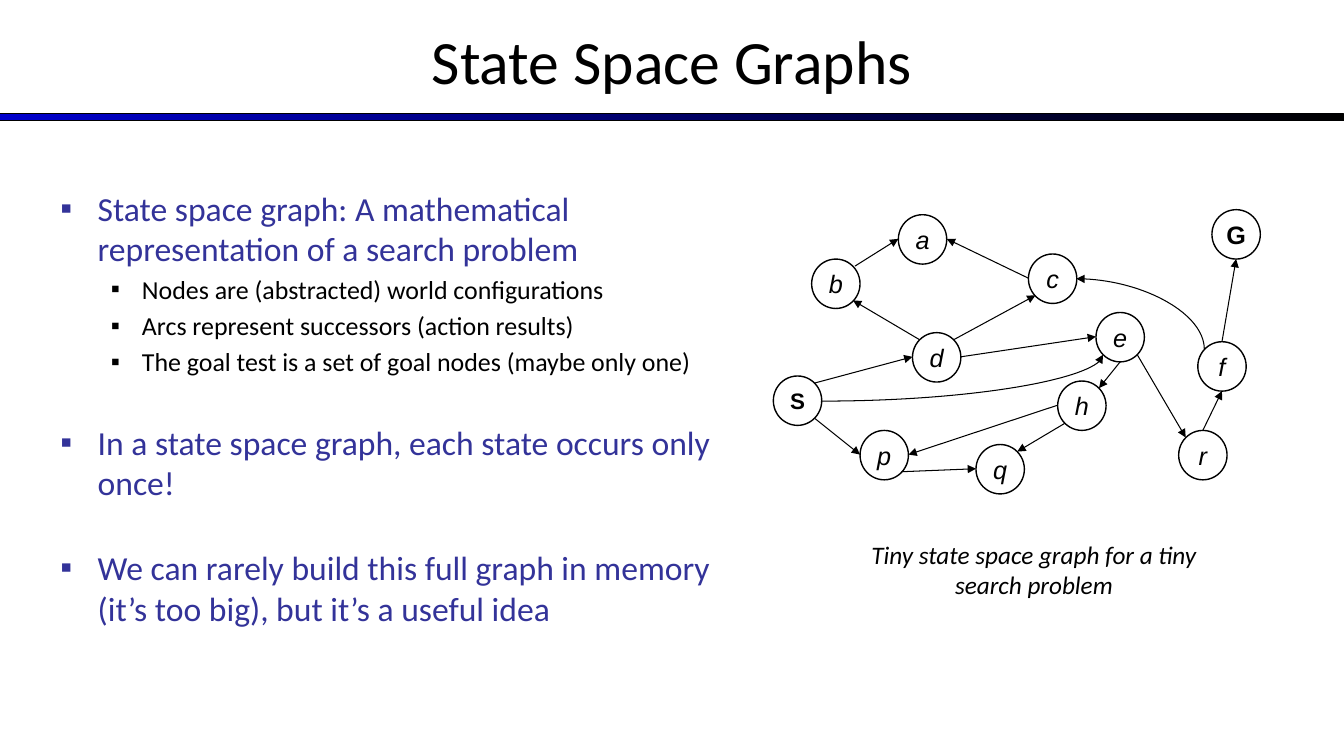
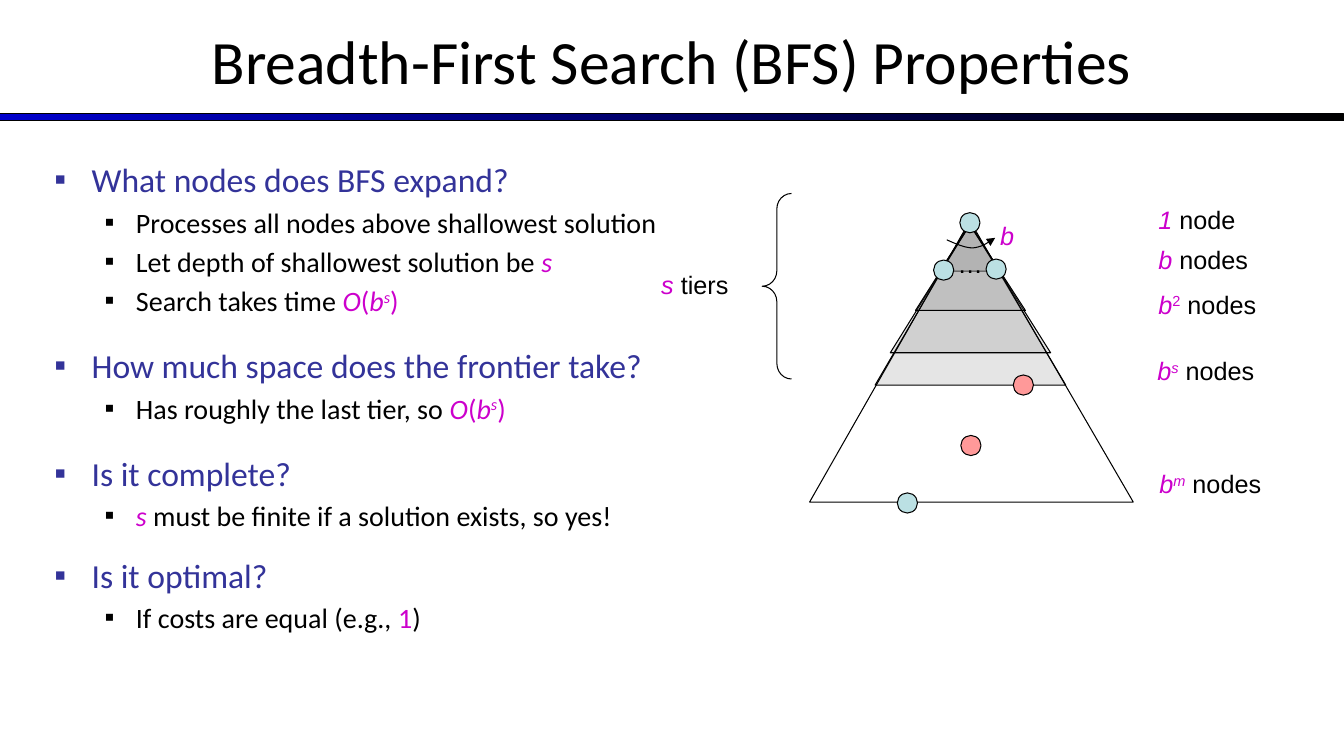
from dataclasses import dataclass

from lxml.etree import SubElement
from pptx import Presentation
from pptx.dml.color import RGBColor
from pptx.enum.shapes import MSO_CONNECTOR, MSO_SHAPE
from pptx.enum.text import MSO_ANCHOR, MSO_AUTO_SIZE, PP_ALIGN
from pptx.oxml.ns import qn
from pptx.util import Emu, Pt

PX = 9144


@dataclass(frozen=True)
class Theme:
    ink: str = "000000"
    heading: str = "333399"
    formula: str = "CC00CC"
    band: str = "0000CC"
    tier: str = "808080"
    node: str = "BBE0E3"
    goal: str = "FF9999"
    body_font: str = "Calibri"
    figure_font: str = "Arial"
    title_size: float = 44
    body_size: float = 24
    figure_size: float = 18
    start_size: float = 16
    thin: float = 0.75
    outline: float = 1


THEME = Theme()
STYLES = {
    "text": {},
    "formula": {"italic": True},
    "formula upright": {},
    "power": {"italic": True},
    "power upright": {},
}
ORDER = [("O", "formula"), ("(", "formula upright"), ("b", "formula"),
         ("s", "power"), (")", "formula upright")]


def px(*lengths):
    return [Emu(length * PX) for length in lengths]


def apply(target, values):
    for name, value in values.items():
        setattr(target, name, value)


def xml_child(parent, tag, **attributes):
    return SubElement(parent, qn(tag), attributes)


def write_span(para, text, font, size, color, **values):
    span = para.add_run()
    span.text = text
    apply(span.font, {"name": font, "size": Pt(size), **values})
    span.font.color.rgb = RGBColor.from_string(color)
    return span


def write_spans(para, spans, font, size, color):
    for text, style in spans:
        shade = color if style == "text" else THEME.formula
        span = write_span(para, text, font, size, shade, **STYLES[style])
        if style.startswith("power"):
            span.font._element.set("baseline", "30000")


def paint(shape, fill=None, width=THEME.thin):
    shape.shadow.inherit = False
    if fill:
        shape.fill.solid()
        shape.fill.fore_color.rgb = RGBColor.from_string(fill)
    else:
        shape.fill.background()
    draw_line(shape.line, width)
    return shape


def draw_line(line, width=THEME.thin):
    line.color.rgb = RGBColor.from_string(THEME.ink)
    line.width = Pt(width)


def add_arrowhead(shape):
    line = shape._element.spPr.find(qn("a:ln"))
    xml_child(line, "a:tailEnd", type="triangle", w="med", len="med")


def add_page(deck, title):
    page = deck.slides.add_slide(deck.slide_layouts[5])
    band = paint(page.shapes.add_shape(MSO_SHAPE.RECTANGLE, *px(0, 113, 1333, 7)))
    band.fill.gradient()
    band.fill.gradient_angle = 0
    for stop, color, position in zip(band.fill.gradient_stops, (THEME.band, THEME.ink), (0, 1)):
        stop.color.rgb = RGBColor.from_string(color)
        stop.position = position
    box = page.shapes.title
    apply(box, dict(zip(("left", "top", "width", "height"), px(0, -3, 1333, 125))))
    apply(box.text_frame, {"vertical_anchor": MSO_ANCHOR.MIDDLE,
                           "word_wrap": True, "auto_size": MSO_AUTO_SIZE.NONE})
    para = box.text_frame.paragraphs[0]
    para.alignment = PP_ALIGN.CENTER
    write_span(para, title, THEME.body_font, THEME.title_size, THEME.ink)
    return page


def add_box(page, at):
    box = page.shapes.add_textbox(*px(*at))
    box.text_frame.word_wrap = True
    return box.text_frame


def add_outline(page, at, sections, detail_size, gaps):
    frame = add_box(page, at)
    para = None
    levels = ((37, 37, THEME.body_size, THEME.heading), (81, 31, detail_size, THEME.ink))
    for (heading, details), gap in zip(sections, gaps):
        for level, spans in [(0, [(heading, "text")])] + [(1, detail) for detail in details]:
            margin, hanging, size, color = levels[level]
            para = frame.add_paragraph() if para else frame.paragraphs[0]
            apply(para, {"level": level, "space_before": Pt(size * 0.2 if level else gap)})
            properties = para._p.get_or_add_pPr()
            properties.set("marL", str(margin * PX))
            properties.set("indent", str(-hanging * PX))
            xml_child(xml_child(properties, "a:buClr"), "a:srgbClr", val=color)
            xml_child(properties, "a:buFont", typeface=THEME.figure_font)
            xml_child(properties, "a:buChar", char="▪")
            write_spans(para, spans, THEME.body_font, size, color)


def add_label(page, at, spans):
    frame = add_box(page, at)
    write_spans(frame.paragraphs[0], spans, THEME.figure_font, THEME.figure_size, THEME.ink)


def add_caption(page, at, text):
    para = add_box(page, at).paragraphs[0]
    para.alignment = PP_ALIGN.CENTER
    write_span(para, text, THEME.body_font, THEME.figure_size, THEME.ink, italic=True)


def add_state(page, name, left, top):
    circle = page.shapes.add_shape(MSO_SHAPE.FLOWCHART_CONNECTOR, *px(left, top, 48, 49))
    paint(circle, width=THEME.outline)
    frame = circle.text_frame
    apply(frame, {"word_wrap": False, "vertical_anchor": MSO_ANCHOR.MIDDLE})
    para = frame.paragraphs[0]
    para.alignment = PP_ALIGN.CENTER
    size = THEME.start_size if name == "S" else THEME.figure_size
    write_span(para, name, THEME.figure_font, size, THEME.ink,
               bold=name.isupper(), italic=name.islower())


def add_arrow(page, ends, kind=MSO_CONNECTOR.STRAIGHT):
    arrow = page.shapes.add_connector(kind, *px(*ends))
    draw_line(arrow.line)
    add_arrowhead(arrow)
    xml_child(arrow._element.spPr, "a:effectLst")
    return arrow


def add_bend(page, ends, turn=0):
    properties = add_arrow(page, ends, MSO_CONNECTOR.CURVE)._element.spPr
    properties.find(qn("a:prstGeom")).set("prst", "curvedConnector2")
    properties.find(qn("a:xfrm")).set("rot", str(turn * 60000))


def add_path(page, points, close):
    builder = page.shapes.build_freeform(*points[0], scale=PX)
    builder.add_line_segments(points[1:], close=close)
    return paint(builder.convert_to_shape())


def add_triangle(page, apex, left, right, base, opacity=None):
    triangle = add_path(page, [apex, (left, base), (right, base)], True)
    if opacity:
        triangle.fill.solid()
        triangle.fill.fore_color.rgb = RGBColor.from_string(THEME.tier)
        color = triangle._element.spPr.find(qn("a:solidFill"))[0]
        xml_child(color, "a:alpha", val=str(opacity * 1000))


def add_sweep(page, points):
    sweep = add_path(page, points, False)
    outline = next(sweep._element.iter(qn("a:path")))
    segments = outline.findall(qn("a:lnTo"))
    for start in range(0, len(segments), 3):
        curve = xml_child(outline, "a:cubicBezTo")
        for segment in segments[start:start + 3]:
            curve.append(segment[0])
            outline.remove(segment)
    add_arrowhead(sweep)


def add_dot(page, left, top, color):
    paint(page.shapes.add_shape(MSO_SHAPE.OVAL, *px(left, top, 20, 20)), color)


def build_graph_page(deck):
    page = add_page(deck, "State Space Graphs")
    add_outline(page, (50, 181, 692, 495), [
        ("State space graph: A mathematical representation of a search problem", [
            [("Nodes are (abstracted) world configurations", "text")],
            [("Arcs represent successors (action results)", "text")],
            [("The goal test is a set of goal nodes (maybe only one)", "text")],
        ]),
        ("In a state space graph, each state occurs only once!", []),
        ("We can rarely build this full graph in memory (it’s too big), "
         "but it’s a useful idea", []),
    ], 18.5, (4.8, 32, 32))
    states = {
        "S": (767, 373), "G": (1202, 208), "d": (905, 330), "b": (805, 257),
        "p": (853, 427), "q": (968, 441), "c": (1020, 252), "e": (1087, 310),
        "h": (1049, 378), "a": (891, 213), "f": (1188, 339), "r": (1169, 427),
    }
    for name, place in states.items():
        add_state(page, name, *place)
    for ends in [
        (808, 415, 853, 451), (894, 468, 968, 465), (1056, 420, 1009, 448),
        (1049, 402, 901, 451), (1111, 359, 1090, 385), (1128, 352, 1176, 434),
        (1193, 427, 1212, 388), (1212, 339, 1226, 257), (808, 380, 905, 354),
        (912, 337, 846, 298), (848, 264, 891, 237), (1020, 276, 939, 237),
        (946, 337, 1027, 293), (953, 354, 1087, 334),
    ]:
        add_arrow(page, ends)
    add_bend(page, (1166, 248, 1096, 375), 90)
    add_bend(page, (815, 398, 1094, 352))
    add_caption(page, (842, 530, 367, 71), "Tiny state space graph for a tiny search problem")


def build_search_page(deck):
    page = add_page(deck, "Breadth-First Search (BFS) Properties")
    for top, left, right, base in [(223, 932, 992, 269), (221, 868, 1057, 382),
                                   (223, 883, 1042, 350), (223, 908, 1017, 308)]:
        add_triangle(page, (962, top), left, right, base, 20)
    add_outline(page, (44, 153, 622, 517), [
        ("What nodes does BFS expand?", [
            [("Processes all nodes above shallowest solution", "text")],
            [("Let depth of shallowest solution be ", "text"), ("s", "formula")],
            [("Search takes time ", "text"), *ORDER],
        ]),
        ("How much space does the frontier take?", [
            [("Has roughly the last tier, so ", "text"), *ORDER],
        ]),
        ("Is it complete?", [
            [("s", "formula"), (" must be finite if a solution exists, so yes!", "text")],
        ]),
        ("Is it optimal?", [
            [("If costs are equal (e.g., ", "text"), ("1", "formula upright"), (")", "text")],
        ]),
    ], 20, (4.8, 20, 20, 16))
    add_triangle(page, (962, 219), 803, 1124, 498)
    for left, top, color in [
        (952, 211, THEME.node), (926, 258, THEME.node), (978, 257, THEME.node),
        (890, 489, THEME.node), (1005, 372, THEME.goal), (953, 432, THEME.goal),
    ]:
        add_dot(page, left, top, color)
    add_sweep(page, [(939, 238), (948, 242), (957, 246), (965, 246),
                     (973, 245), (980, 241), (987, 236)])
    brace = paint(page.shapes.add_shape(MSO_SHAPE.LEFT_BRACE, *px(756, 192, 29, 184)))
    brace.adjustments[0] = 0.53
    nodes = (" nodes", "text")
    for at, spans in [
        ((940, 241, 30, 40), [("…", "text")]),
        ((982, 214, 33, 40), [("b", "formula")]),
        ((646, 262, 138, 40), [("s", "formula"), (" tiers", "text")]),
        ((1139, 198, 122, 40), [("1", "formula"), (" node", "text")]),
        ((1139, 237, 122, 40), [("b", "formula"), nodes]),
        ((1139, 282, 122, 40), [("b", "formula"), ("2", "power upright"), nodes]),
        ((1138, 348, 160, 40), [("b", "formula"), ("s", "power"), nodes]),
        ((1140, 460, 160, 40), [("b", "formula"), ("m", "power"), nodes]),
    ]:
        add_label(page, at, spans)


def main():
    deck = Presentation()
    apply(deck, dict(zip(("slide_width", "slide_height"), px(1333, 750))))
    build_graph_page(deck)
    build_search_page(deck)
    deck.save("out.pptx")


if __name__ == "__main__":
    main()
